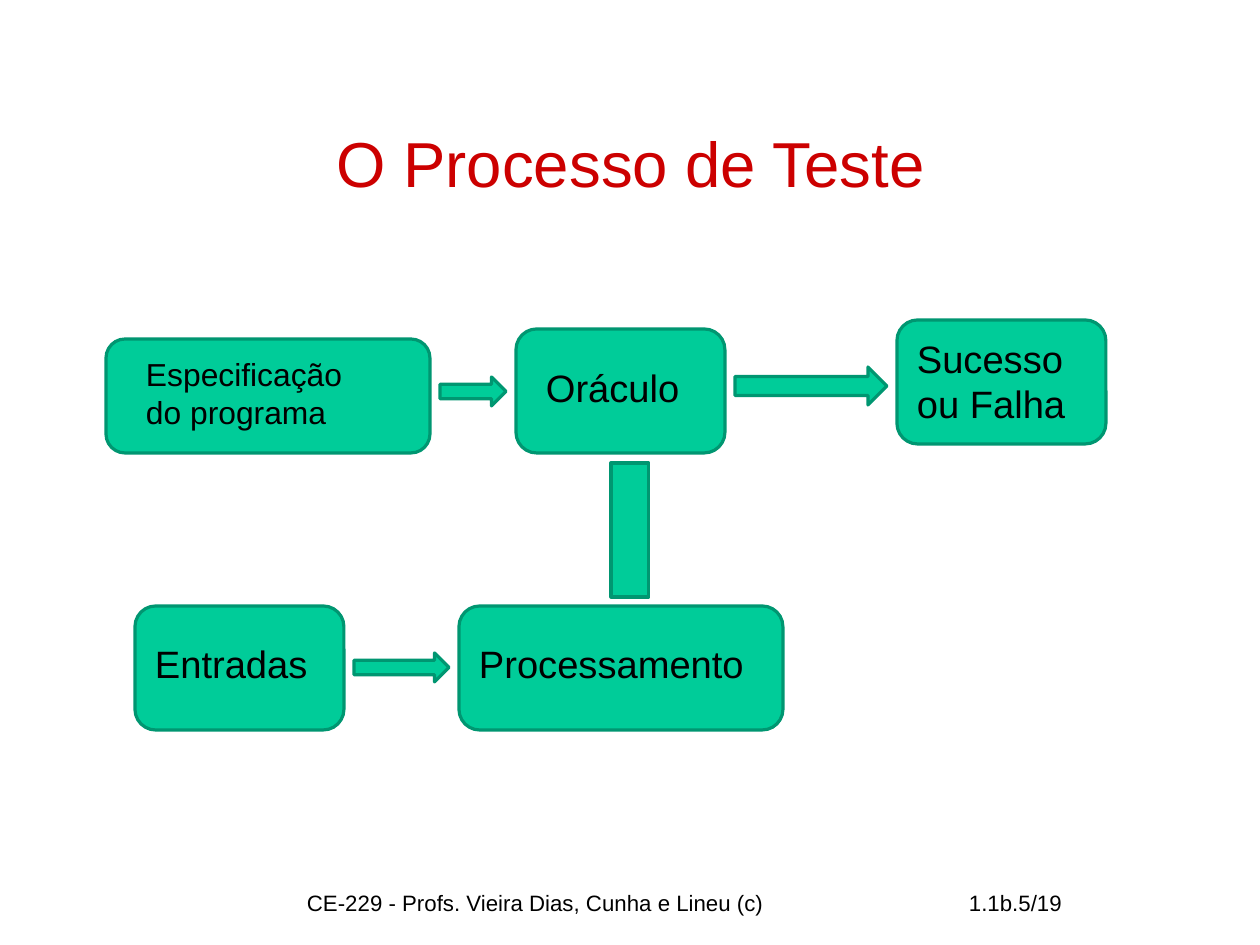
from pptx import Presentation
from pptx.dml.color import RGBColor
from pptx.enum.shapes import MSO_SHAPE
from pptx.enum.text import MSO_ANCHOR, MSO_AUTO_SIZE, PP_ALIGN
from pptx.util import Pt

PIXEL = 8000
ROUNDED = MSO_SHAPE.ROUNDED_RECTANGLE
ARROW = MSO_SHAPE.RIGHT_ARROW
BAR = MSO_SHAPE.RECTANGLE
TOP, MIDDLE = MSO_ANCHOR.TOP, MSO_ANCHOR.MIDDLE
LEFT, CENTER = PP_ALIGN.LEFT, PP_ALIGN.CENTER
FIXED = MSO_AUTO_SIZE.NONE
COLORS = {"title": "CC0000", "text": "000000", "fill": "00CC99", "line": "009671"}


def color(name):
    return RGBColor.from_string(COLORS[name])


def write(box, text, size, ink="text", align=LEFT, anchor=TOP, margins=(11, 6)):
    frame = box.text_frame
    frame.text = text
    frame.word_wrap = True
    frame.auto_size = FIXED
    frame.vertical_anchor = anchor
    frame.margin_left = frame.margin_right = margins[0] * PIXEL
    frame.margin_top = frame.margin_bottom = margins[1] * PIXEL
    paragraph = frame.paragraphs[0]
    paragraph.alignment = align
    span = paragraph.runs[0]
    span.font.name = "Arial"
    span.font.size = Pt(size)
    span.font.color.rgb = color(ink)


deck = Presentation()
deck.slide_width = 1260 * PIXEL
deck.slide_height = 945 * PIXEL
page = deck.slides.add_slide(deck.slide_layouts[5])

title = page.shapes.title
title.left, title.top, title.width, title.height = [n * PIXEL for n in (95, 83, 1071, 158)]
write(title, "O Processo de Teste", 40, "title", CENTER, MIDDLE, (13, 7))

footers = [
    ("CE-229 - Profs. Vieira Dias, Cunha e Lineu (c)", 294, 557),
    ("1.1b.5/19", 956, 263),
]
for text, left, width in footers:
    footer = page.shapes.add_textbox(left * PIXEL, 882 * PIXEL, width * PIXEL, 63 * PIXEL)
    write(footer, text, 14, margins=(13, 7))

flow = [
    (ROUNDED, (106, 339, 324, 114)),
    (ROUNDED, (516, 329, 209, 124)),
    (ROUNDED, (897, 320, 209, 124)),
    (ROUNDED, (135, 606, 209, 124)),
    (ROUNDED, (459, 606, 324, 124)),
    (ARROW, (440, 377, 66, 29)),
    (ARROW, (735, 367, 152, 38)),
    (ARROW, (354, 653, 95, 29)),
    (BAR, (611, 463, 38, 134)),
]
for kind, place in flow:
    shape = page.shapes.add_shape(kind, *[n * PIXEL for n in place])
    shape.shadow.inherit = False
    shape.fill.solid()
    shape.fill.fore_color.rgb = color("fill")
    shape.line.color.rgb = color("line")
    shape.line.width = Pt(2)

labels = [
    ("Especificação do programa", 20, (135, 349, 257, 88)),
    ("Oráculo", 24, (535, 358, 181, 57)),
    ("Sucesso ou Falha", 24, (906, 329, 191, 103)),
    ("Entradas", 24, (144, 634, 191, 57)),
    ("Processamento", 24, (468, 634, 305, 57)),
]
for text, size, place in labels:
    label = page.shapes.add_textbox(*[n * PIXEL for n in place])
    write(label, text, size)

deck.save("out.pptx")
